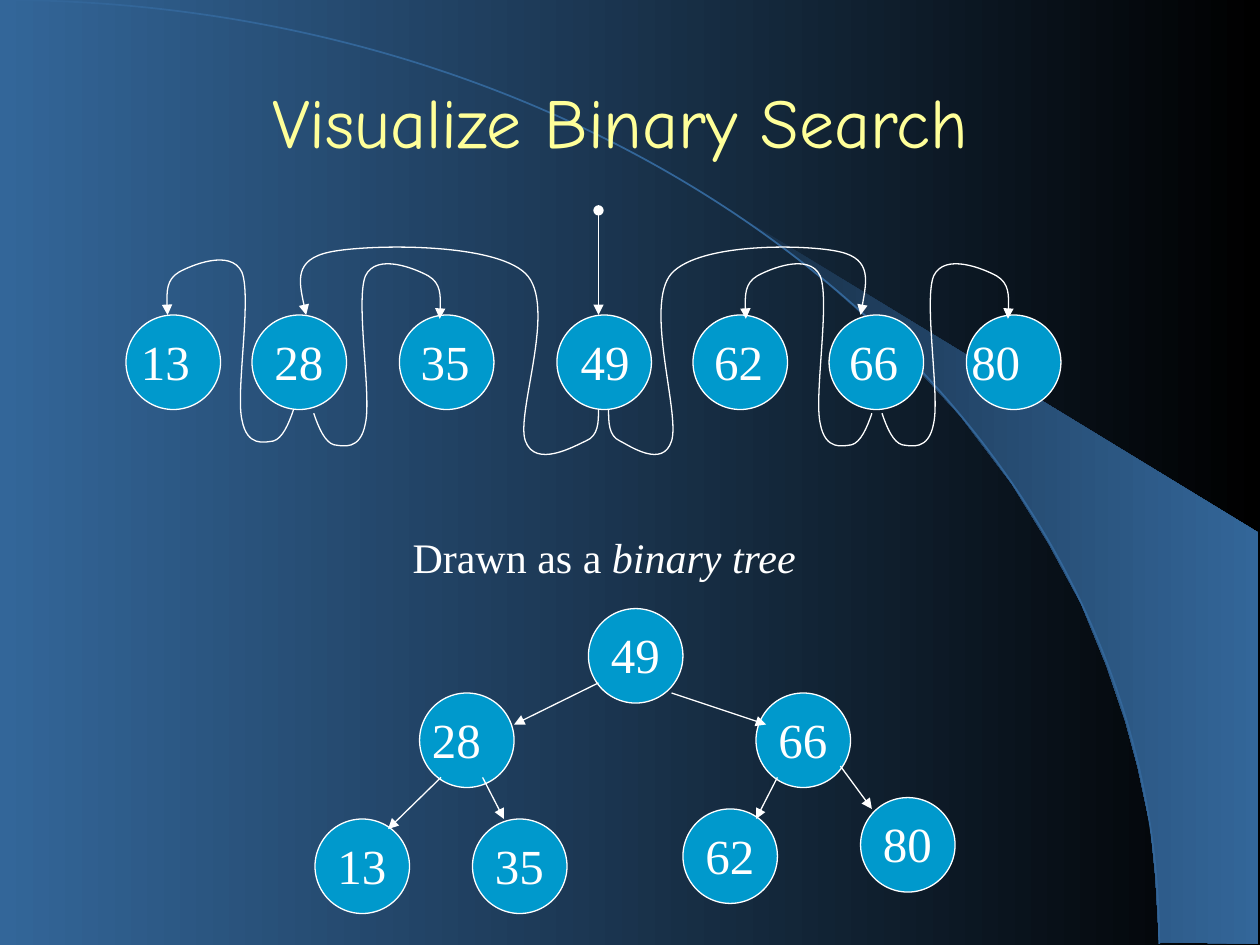
from lxml import etree
from pptx import Presentation
from pptx.dml.color import RGBColor
from pptx.enum.shapes import MSO_CONNECTOR, MSO_SHAPE
from pptx.enum.text import MSO_ANCHOR, MSO_AUTO_SIZE, PP_ALIGN
from pptx.oxml.ns import qn
from pptx.util import Inches, Pt

STRAIGHT, OVAL = MSO_CONNECTOR.STRAIGHT, MSO_SHAPE.OVAL
LEFT, CENTER = PP_ALIGN.LEFT, PP_ALIGN.CENTER
MIDDLE, GROW = MSO_ANCHOR.MIDDLE, MSO_AUTO_SIZE.SHAPE_TO_FIT_TEXT

BLUE = RGBColor(0x33, 0x66, 0x99)
NAVY = RGBColor(0x18, 0x2F, 0x47)
BLACK = RGBColor(0, 0, 0)
WHITE = RGBColor(0xFF, 0xFF, 0xFF)
YELLOW = RGBColor(0xFF, 0xFF, 0x99)
NODE_BLUE = RGBColor(0x00, 0x99, 0xCC)
TITLE_FONT, BODY_FONT = "Comic Neue", "Times New Roman"

# Content, in inches
TITLE = "Visualize Binary Search"
CAPTION = [("Drawn as a ", False), ("binary tree", True)]
DIAMETER = 0.75
ROW_TOP = 2.5
# value, circle left, tab stop of the number
ROW = [("13", 1, 0.1), ("28", 2, 1.16), ("35", 3.17, 2.32), ("49", 4.42, 3.59),
       ("62", 5.5, 4.65), ("66", 6.58, 5.72), ("80", 7.67, 6.69)]
# value, circle left, circle top, label shift
TREE = [("49", 4.67, 4.83, 0.08), ("28", 3.33, 5.5, 0), ("66", 6, 5.5, 0.08),
        ("13", 2.5, 6.5, 0.08), ("35", 3.75, 6.5, 0.08),
        ("62", 5.42, 6.42, 0.08), ("80", 6.83, 6.33, 0.08)]
BRANCHES = [((4.75, 5.42), (4.08, 5.75)), ((5.33, 5.5), (6.08, 5.75)),
            ((3.5, 6.17), (3.08, 6.58)), ((3.83, 6.17), (4, 6.5)),
            ((6.17, 6.17), (6, 6.5)), ((6.67, 6.08), (6.92, 6.42))]

# Bezier chains: a start, then three points for each piece
ARC = [(0, 0), (5.08, 0), (9.2, 3.35), (9.2, 7.49)]
ROOT_RIGHT = [(4.83, 3.25), (4.83, 3.35), (4.83, 3.46), (4.92, 3.5),
              (5, 3.54), (5.26, 3.72), (5.33, 3.5), (5.4, 3.28), (5.11, 2.42),
              (5.33, 2.17), (5.56, 1.92), (6.42, 1.94), (6.67, 2),
              (6.92, 2.06), (6.87, 2.28), (6.83, 2.5)]
ROOT_LEFT = [(4.75, 3.25), (4.75, 3.35), (4.75, 3.46), (4.65, 3.5),
             (4.56, 3.54), (4.25, 3.72), (4.17, 3.5), (4.09, 3.28), (4.43, 2.42),
             (4.17, 2.17), (3.91, 1.92), (2.91, 1.94), (2.62, 2),
             (2.33, 2.06), (2.38, 2.28), (2.43, 2.5)]
# Hook to a neighbour, relative to its start
HOOK = [(0, 0), (0.04, 0.12), (0.09, 0.23), (0.16, 0.25), (0.23, 0.26),
        (0.37, 0.3), (0.41, 0.08), (0.46, -0.14), (0.33, -0.89), (0.41, -1.09),
        (0.5, -1.28), (0.82, -1.14), (0.91, -1.09), (1.01, -1.03),
        (1.01, -0.89), (1, -0.75)]
# Two hooks for each child of the root: start x, start y, direction
HOOK_PAIRS = [[(2.33, 3.25, -1), (2.49, 3.28, 1)],
              [(6.92, 3.28, -1), (7, 3.28, 1)]]
BEAM = [(9.2, 7.48), (9.99, 7.49), (9.99, 4.23), (5.89, 1.73), (6.24, 1.99),
        (6.53, 2.22), (6.85, 2.5), (7.16, 2.8), (7.62, 3.3), (8.03, 3.84),
        (8.32, 4.31), (8.58, 4.79), (8.78, 5.28), (8.93, 5.72), (9.03, 6.09),
        (9.13, 6.56), (9.17, 6.96)]


def set_gradient(fill, start, end):
    fill.gradient()
    fill.gradient_angle = 0
    for stop, color in zip(fill.gradient_stops, (start, end)):
        stop.color.rgb = color


def style_line(shape, color=WHITE, width=0.75, head=None, tail=None):
    shape.line.color.rgb = color
    shape.line.width = Pt(width)
    line = shape.element.spPr.find(qn("a:ln"))
    for tag, kind in (("a:headEnd", head), ("a:tailEnd", tail)):
        if kind:
            etree.SubElement(line, qn(tag), type=kind)


def add_outline(shapes, points, close):
    points = [(Inches(x), Inches(y)) for x, y in points]
    builder = shapes.build_freeform(*points[0])
    builder.add_line_segments(points[1:], close=close)
    shape = builder.convert_to_shape()
    shape.shadow.inherit = False
    return shape


def add_curve(shapes, chain, **line):
    shape = add_outline(shapes, chain, False)
    # Join each three line segments into one Bezier piece
    outline = next(shape.element.iter(qn("a:path")))
    segments = outline.findall(qn("a:lnTo"))
    for i in range(0, len(segments), 3):
        piece = etree.SubElement(outline, qn("a:cubicBezTo"))
        for segment in segments[i:i + 3]:
            piece.append(segment[0])
            outline.remove(segment)
    shape.fill.background()
    style_line(shape, **line)


def add_arrow(shapes, start, end, head=None):
    arrow = shapes.add_connector(STRAIGHT, *map(Inches, start + end))
    style_line(arrow, head=head, tail="triangle")
    etree.SubElement(arrow.element.spPr, qn("a:effectLst"))


def add_circle(shapes, left, top):
    circle = shapes.add_shape(OVAL, *map(Inches, (left, top, DIAMETER, DIAMETER)))
    circle.shadow.inherit = False
    circle.fill.solid()
    circle.fill.fore_color.rgb = NODE_BLUE
    style_line(circle)


def add_run(paragraph, text, size, font=BODY_FONT, color=WHITE, italic=False):
    run = paragraph.add_run()
    run.text = text
    run.font.size, run.font.name = Pt(size), font
    run.font.color.rgb = color
    if italic:
        run.font.italic = True


def add_text(shapes, box, runs, size, align=LEFT):
    frame = shapes.add_textbox(*map(Inches, box)).text_frame
    frame.word_wrap = True
    frame.auto_size = GROW
    paragraph = frame.paragraphs[0]
    paragraph.alignment = align
    for text, italic in runs:
        add_run(paragraph, text, size, italic=italic)
    return paragraph


presentation = Presentation()
presentation.slide_width, presentation.slide_height = Inches(10), Inches(7.5)
slide = presentation.slides.add_slide(presentation.slide_layouts[5])
shapes = slide.shapes

# Background and decoration
set_gradient(slide.background.fill, BLUE, BLACK)
beam = add_outline(shapes, BEAM, True)
set_gradient(beam.fill, NAVY, BLUE)
beam.line.fill.background()
add_curve(shapes, ARC, color=BLUE, width=1)

# Title, in front of the decoration
title = shapes.title
title.left, title.top, title.width, title.height = map(Inches, (0.67, 0.33, 8.5, 1.25))
title.text_frame.vertical_anchor = MIDDLE
heading = title.text_frame.paragraphs[0]
heading.alignment = CENTER
add_run(heading, TITLE, 40, TITLE_FONT, YELLOW)
title.element.getparent().append(title.element)

# Sorted row, its numbers set on tab stops
for value, left, stop in ROW:
    add_circle(shapes, left, ROW_TOP)
row_text = "".join("\t" + value for value, left, stop in ROW)
numbers = add_text(shapes, (0.92, 2.58, 8.25, 0.57), [(row_text, False)], 28)
properties = numbers.runs[0].font and numbers._p.get_or_add_pPr()
tabs = etree.SubElement(properties, qn("a:tabLst"))
for value, left, stop in ROW:
    etree.SubElement(tabs, qn("a:tab"), pos=str(Inches(stop)), algn="l")

# Search paths over the row
add_arrow(shapes, (4.75, 1.67), (4.75, ROW_TOP), head="oval")
hooks = [[[(x + side * dx, y + dy) for dx, dy in HOOK] for x, y, side in pair]
         for pair in HOOK_PAIRS]
for pair in [[ROOT_RIGHT, ROOT_LEFT]] + hooks:
    group = shapes.add_group_shape()
    for chain in pair:
        add_curve(group.shapes, chain, tail="triangle")

# Binary tree
tree = shapes.add_group_shape().shapes
add_text(tree, (2.17, 4.17, 5.25, 0.5), CAPTION, 24, CENTER)
for value, left, top, shift in TREE:
    add_circle(tree, left, top)
for start, end in BRANCHES:
    add_arrow(tree, start, end)
for value, left, top, shift in TREE:
    add_text(tree, (left + shift, top + 0.08, 0.67, 0.57), [(value, False)], 28)

presentation.save("out.pptx")
